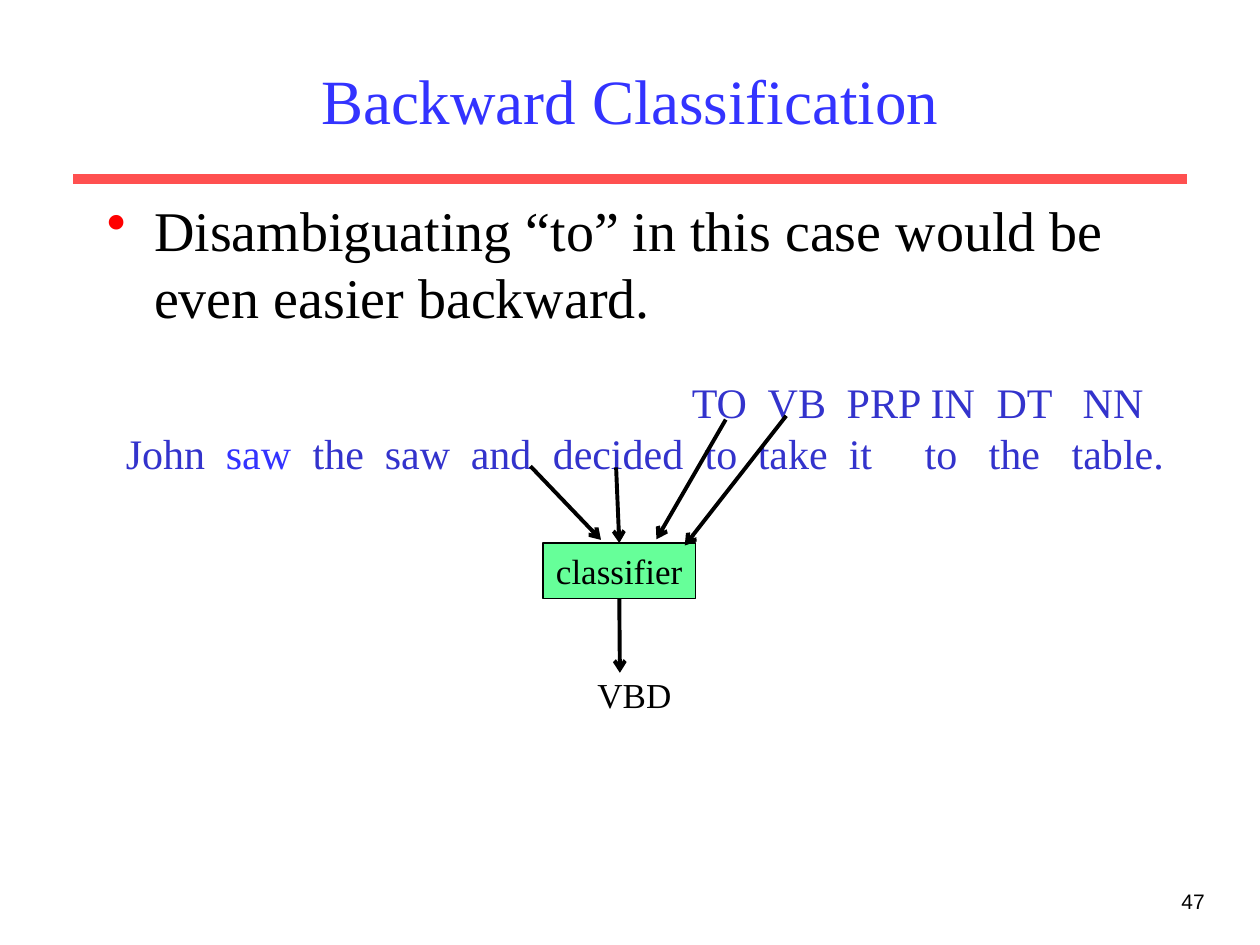
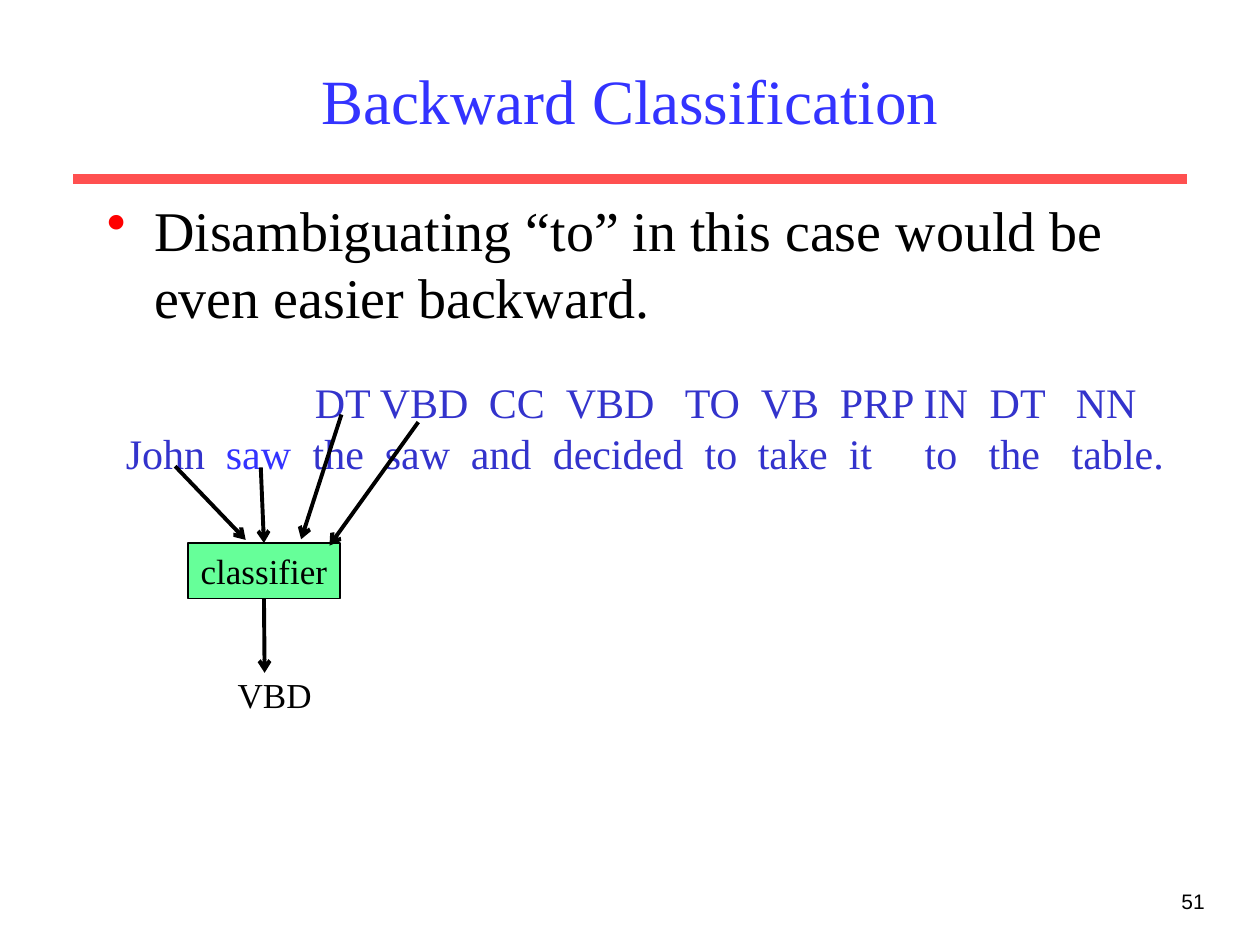
import pptx
import pptx.util
import pptx.dml.color
import pptx.enum.shapes
import pptx.enum.text
import pptx.oxml
import pptx.oxml.ns

COLORS = {
    "title": "3333FF", "rule": "FF5050", "bullet": "FF0000", "ink": "000000",
    "sentence": "3333CC", "focus": "3333FF", "classifier": "66FF99",
}
SERIF, SANS = "Times New Roman", "Arial"
ALIGN = pptx.enum.text.PP_ALIGN
MIDDLE = pptx.enum.text.MSO_ANCHOR.MIDDLE

# The slide is a grid of 100 columns by 75 rows of square cells
SLIDE_W, SLIDE_H = pptx.util.Inches(10), pptx.util.Inches(7.5)
CELL = SLIDE_W // 100

# Sentence words and their columns, counted from the start of the line
SENTENCE = [
    ("John", 0), ("saw", 7.94), ("the", 14.84), ("saw", 20.56), ("and", 27.38),
    ("decided", 33.89), ("to", 45.95), ("take", 50.16), ("it", 57.38),
    ("to", 63.41), ("the", 68.49), ("table.", 75.08),
]
FOCUS_WORD = 1
TAGS = [
    ("DT", 15), ("VBD", 20.16), ("CC", 28.81), ("VBD", 34.92), ("TO", 44.37),
    ("VB", 50.4), ("PRP", 56.67), ("IN", 63.33), ("DT", 68.57), ("NN", 75.4),
]

# Each step: page, first known tag, tag line shift, classifier column,
# centre of the result, and the starts of the arrows from the two next tags
STEPS = [
    {"page": "47", "first_tag": 4, "shift": 0.55, "column": 43.1,
     "result": 50.35, "next_tags": [(57.6, 33.3), (62.4, 33)]},
    {"page": "51", "first_tag": 0, "shift": 0, "column": 14.9,
     "result": 21.8, "next_tags": [(27.1, 32.9), (33.2, 33.5)]},
]


def cells(*counts):
    return [pptx.util.Emu(round(count * CELL)) for count in counts]


def rgb(name):
    return pptx.dml.color.RGBColor.from_string(COLORS[name])


def apply(target, formats):
    for attribute, value in formats.items():
        setattr(target, attribute, value)


def add_run(paragraph, text, size, color="ink", font=SERIF):
    run = paragraph.add_run()
    run.text = text
    apply(run.font, {"name": font, "size": pptx.util.Pt(size), "bold": False})
    run.font.color.rgb = rgb(color)


def add_child(parent, tag, **attributes):
    child = pptx.oxml.parse_xml(f"<{tag} {pptx.oxml.ns.nsdecls('a')}/>")
    for key, value in attributes.items():
        child.set(key, str(value))
    parent.append(child)
    return child


def add_text_frame(slide, left, top, width, height):
    frame = slide.shapes.add_textbox(*cells(left, top, width, height)).text_frame
    frame.word_wrap = True
    return frame


def add_label(slide, box, text, size, align, font=SERIF):
    paragraph = add_text_frame(slide, *box).paragraphs[0]
    paragraph.alignment = align
    add_run(paragraph, text, size, font=font)


def add_line(slide, start, end, color="ink", weight=2.25, arrow=True):
    line = slide.shapes.add_connector(
        pptx.enum.shapes.MSO_CONNECTOR.STRAIGHT, *cells(*start, *end))
    line.line.color.rgb = rgb(color)
    line.line.width = pptx.util.Pt(weight)
    properties = line.element.spPr
    if arrow:
        add_child(properties.find(pptx.oxml.ns.qn("a:ln")), "a:tailEnd", type="arrow")
    add_child(properties, "a:effectLst")
    return line


def add_frame(slide, page):
    """Title, rule and page number shared by all slides."""
    add_line(slide, (5.8, 14.2), (94.2, 14.2), "rule", 6, arrow=False)
    add_label(slide, (75.8, 70, 20.8, 5), page, 12, ALIGN.RIGHT, SANS)
    title = slide.shapes.title
    apply(title, dict(zip(("left", "top", "width", "height"),
                          cells(7.5, 2.5, 85, 10.8))))
    title.text_frame.vertical_anchor = MIDDLE
    heading = title.text_frame.paragraphs[0]
    heading.alignment = ALIGN.CENTER
    add_run(heading, "Backward Classification", 36, "title")


def add_bullet(slide, text):
    paragraph = add_text_frame(slide, 7.5, 15, 85, 51.3).paragraphs[0]
    properties = paragraph._p.get_or_add_pPr()
    indent, = cells(3.75)
    apply(properties, {})
    properties.set("marL", str(indent))
    properties.set("indent", str(-indent))
    add_child(add_child(properties, "a:buClr"), "a:srgbClr", val=COLORS["bullet"])
    add_child(properties, "a:buChar", char="•")
    add_run(paragraph, text, 32)


def set_tabs(paragraph, columns):
    tabs = add_child(paragraph._p.get_or_add_pPr(), "a:tabLst")
    for position in cells(*columns):
        add_child(tabs, "a:tab", pos=position, algn="l")


def add_tagged_sentence(slide, first_tag, shift):
    frame = add_text_frame(slide, 9, 29.4, 84.4, 9)
    frame.margin_right = 0
    known = TAGS[first_tag:]
    tag_line, word_line = frame.paragraphs[0], frame.add_paragraph()
    set_tabs(tag_line, [column + shift for _, column in known])
    add_run(tag_line, "".join("\t" + tag for tag, _ in known), 24, "sentence")
    set_tabs(word_line, [column for _, column in SENTENCE[1:]])
    for index, (word, _) in enumerate(SENTENCE):
        color = "focus" if index == FOCUS_WORD else "sentence"
        add_run(word_line, ("\t" if index else "") + word, 24, color)


def add_classifier(slide, column, result, next_tags):
    top, width, height = 43.1, 12.1, 4.4
    box = slide.shapes.add_shape(pptx.enum.shapes.MSO_SHAPE.RECTANGLE,
                                 *cells(column, top, width, height))
    box.shadow.inherit = False
    box.fill.solid()
    box.fill.fore_color.rgb = rgb("classifier")
    box.line.color.rgb = rgb("ink")
    box.line.width = pptx.util.Pt(1)
    apply(box.text_frame, {"vertical_anchor": MIDDLE, "word_wrap": False})
    caption = box.text_frame.paragraphs[0]
    caption.alignment = ALIGN.CENTER
    add_run(caption, "classifier", 20)

    # Inputs: previous word, current word, the two tags that follow
    middle = column + width / 2
    add_line(slide, (column - 1, 37), (column + 4.6, 42.85))
    current = add_line(slide, (column + 5.8, 37.1), (middle, top))
    current.end_connect(box, 0)
    for start, end in zip(next_tags, [(column + 9, 42.8), (column + 11.25, 43.3)]):
        add_line(slide, start, end)

    # Output
    output = add_line(slide, (middle, top + height), (column + 6.1, 53.4))
    output.begin_connect(box, 2)
    add_label(slide, (result - 5, 53, 10, 4.4), "VBD", 20, ALIGN.CENTER)


def main():
    deck = pptx.Presentation()
    apply(deck, {"slide_width": SLIDE_W, "slide_height": SLIDE_H})
    title_only = deck.slide_layouts.get_by_name("Title Only")
    for step in STEPS:
        slide = deck.slides.add_slide(title_only)
        add_frame(slide, step["page"])
        add_bullet(slide, "Disambiguating “to” in this case would be "
                          "even easier backward.")
        add_tagged_sentence(slide, step["first_tag"], step["shift"])
        add_classifier(slide, step["column"], step["result"], step["next_tags"])
    deck.save("out.pptx")


if __name__ == "__main__":
    main()
